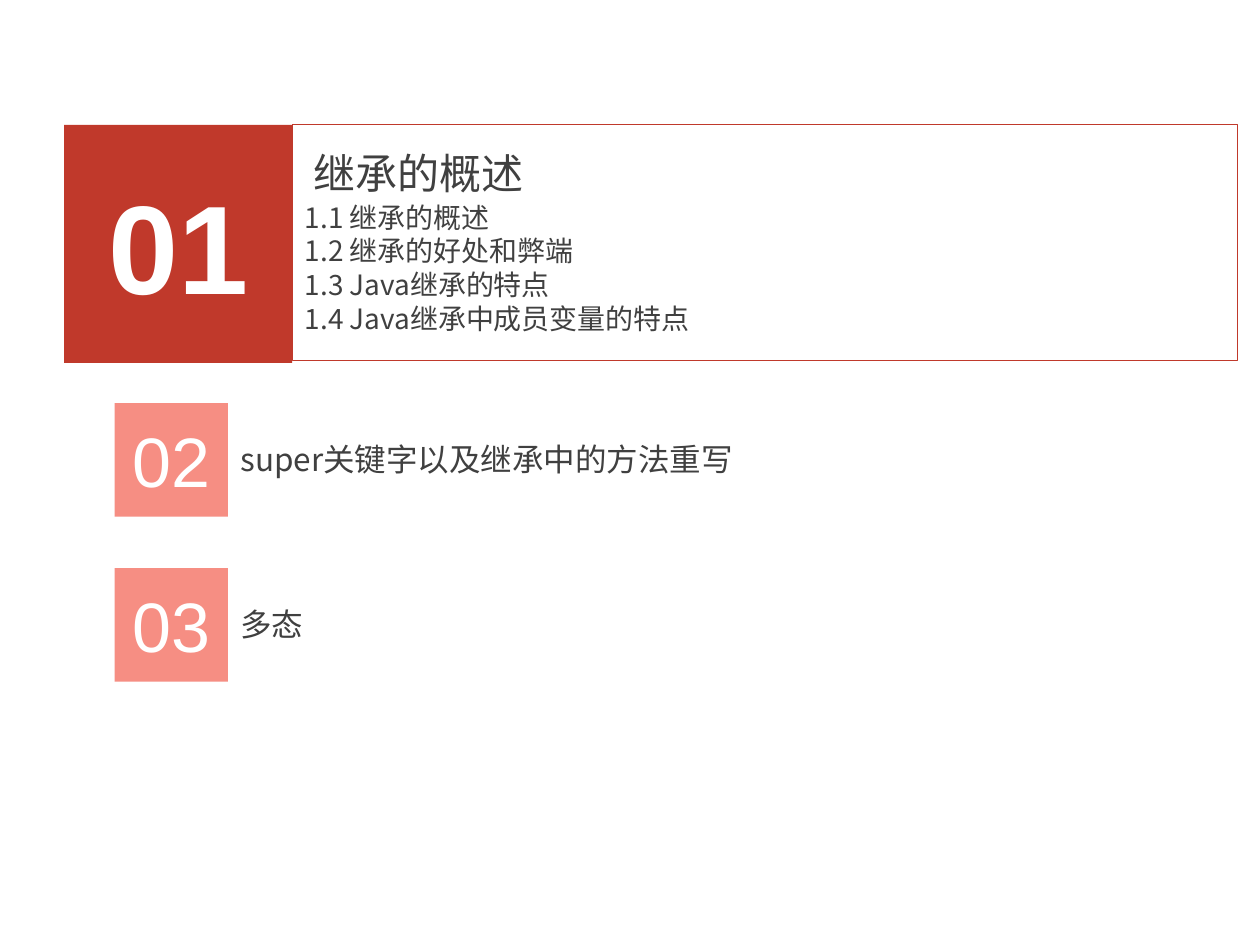
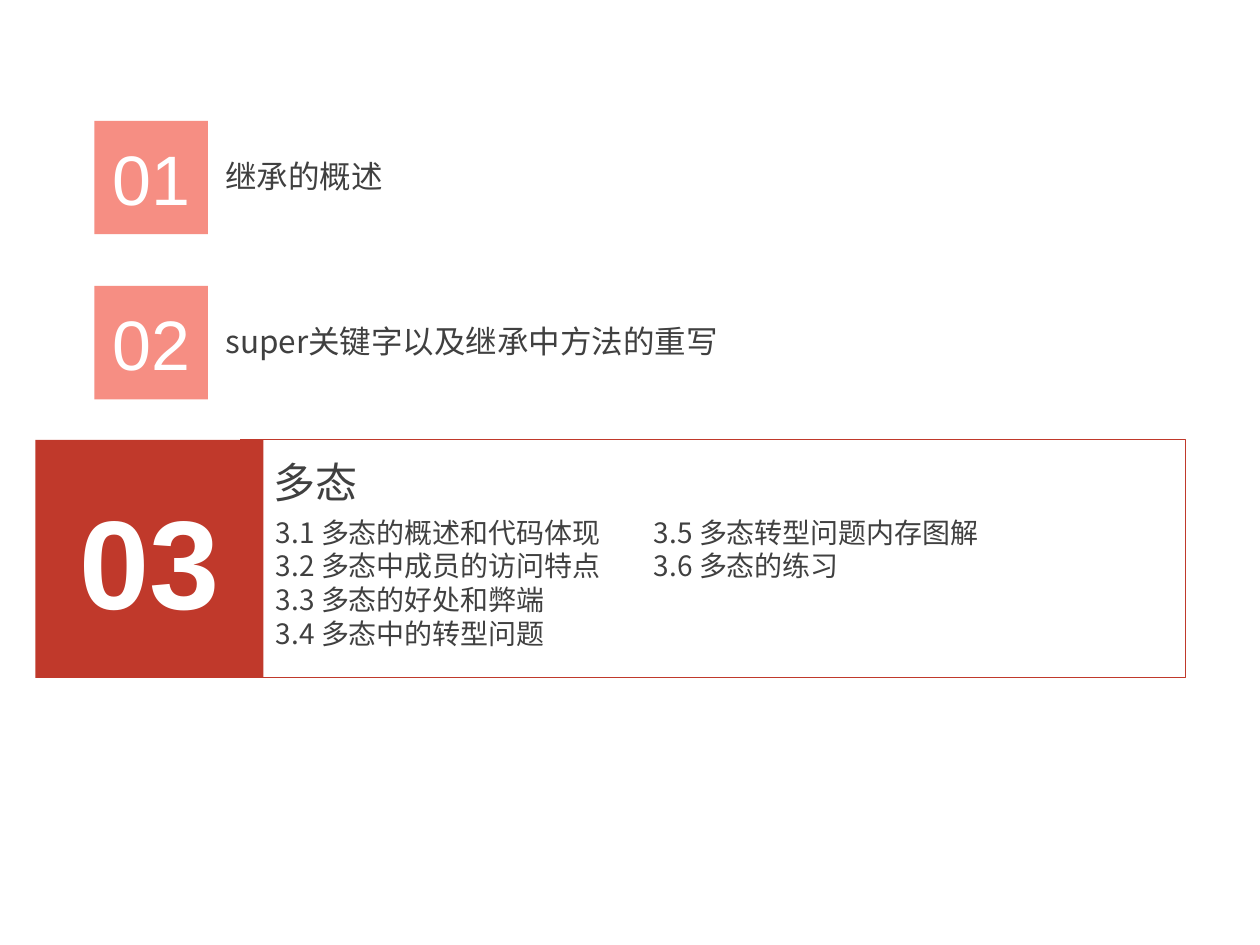
from dataclasses import dataclass

from lxml.etree import SubElement
from pptx import Presentation
from pptx.dml.color import RGBColor
from pptx.enum.shapes import MSO_SHAPE as Shape
from pptx.enum.text import MSO_ANCHOR as Anchor, MSO_AUTO_SIZE as AutoSize, PP_ALIGN as Align
from pptx.oxml.ns import qn
from pptx.util import Inches, Pt

RED = RGBColor(0xC0, 0x39, 0x2B)
CORAL = RGBColor(0xF4, 0x72, 0x64)
WHITE = RGBColor(0xFF, 0xFF, 0xFF)
GREY = RGBColor(0x40, 0x40, 0x40)
NUMBER_FONT = "Arial"
TEXT_FONT = "Noto Sans CJK SC"

COLUMNS, ROWS = 100, 75
CELL = Inches(0.1)
PANEL_BADGE = (18.1, 18.9)
ITEM_BADGE = (9, 9)
ITEM_PITCH = 13.1
TAB_COLUMN = 33.2


@dataclass
class Panel:
    """The open chapter, with its parts placed relative to its left and top."""

    left: float
    top: float
    number: str
    heading: str
    heading_box: tuple
    frame_box: tuple
    sections: list


@dataclass
class Items:
    """The closed chapters, stacked from a left and top."""

    left: float
    top: float
    gap: float
    entries: list


def cells(*counts):
    """Turn counts of grid cells into lengths."""
    return [round(count * CELL) for count in counts]


def place(shape, left, top, width, height):
    """Move a shape to a box on the grid."""
    shape.left, shape.top, shape.width, shape.height = cells(left, top, width, height)


def style(para, name, size, color, bold=False):
    """Set the font of a paragraph for Latin and Chinese text."""
    para.font.name = name
    para.font.size = Pt(size)
    para.font.bold = bold
    para.font.color.rgb = color
    defaults = para._p.pPr.find(qn("a:defRPr"))
    SubElement(defaults, qn("a:ea"), typeface=name)


def add_badge(page, box, number, size, color, bold=False, alpha=None):
    """Add a filled square that carries a chapter number."""
    badge = page.shapes.add_shape(Shape.RECTANGLE, *cells(*box))
    badge.shadow.inherit = False
    badge.line.fill.background()
    badge.fill.solid()
    badge.fill.fore_color.rgb = color
    if alpha:
        fill_color = badge.fill._xPr.find(qn("a:solidFill"))[0]
        SubElement(fill_color, qn("a:alpha"), val=str(alpha * 1000))
    badge.text_frame.vertical_anchor = Anchor.MIDDLE
    para = badge.text_frame.paragraphs[0]
    para.text = number
    para.alignment = Align.CENTER
    style(para, NUMBER_FONT, size, WHITE, bold)


def fill_text(shape, lines, size, wrap=False, tabbed=False):
    """Write plain left-aligned lines into a text shape."""
    frame = shape.text_frame
    frame.word_wrap = wrap
    frame.auto_size = AutoSize.SHAPE_TO_FIT_TEXT
    frame.vertical_anchor = Anchor.TOP
    frame.text = "\n".join(lines)
    for para in frame.paragraphs:
        para.alignment = Align.LEFT
        para.space_before = Pt(0)
        properties = para._p.get_or_add_pPr()
        properties.set("marL", "0")
        properties.set("indent", "0")
        SubElement(properties, qn("a:buNone"))
        if tabbed:
            tabs = SubElement(properties, qn("a:tabLst"))
            SubElement(tabs, qn("a:tab"), pos=str(cells(TAB_COLUMN)[0]), algn="l")
        style(para, TEXT_FONT, size, GREY)


def add_panel(page, panel):
    """Add the open chapter: badge, heading, sections and frame."""
    left, top = panel.left, panel.top
    badge_width, badge_height = PANEL_BADGE
    add_badge(page, (left, top, badge_width, badge_height), panel.number, 72, RED, bold=True)

    heading_left, heading_top, *heading_size = panel.heading_box
    heading = page.shapes.title
    place(heading, left + heading_left, top + heading_top, *heading_size)
    fill_text(heading, [panel.heading], 24)

    sections = page.placeholders[1]
    place(sections, left + badge_width, top + 5.5, 75, 11.8)
    fill_text(sections, panel.sections, 16, wrap=True, tabbed=True)

    frame_left, *frame_size = panel.frame_box
    frame = page.shapes.add_shape(Shape.RECTANGLE, *cells(left + frame_left, top, *frame_size))
    frame.shadow.inherit = False
    frame.fill.background()
    frame.line.color.rgb = RED
    frame.line.width = Pt(0.5)


def add_items(page, items):
    """Add the closed chapters at an equal pitch."""
    width, height = ITEM_BADGE
    for row, (number, title, label_width) in enumerate(items.entries):
        top = items.top + row * ITEM_PITCH
        add_badge(page, (items.left, top, width, height), number, 40, CORAL, alpha=80)
        label_left = items.left + width + items.gap
        label = page.shapes.add_textbox(*cells(label_left, top + 2.4, label_width, 4))
        fill_text(label, [title], 18)


def add_agenda(deck, panel, items):
    """Add one agenda page."""
    page = deck.slides.add_slide(deck.slide_layouts[1])
    add_panel(page, panel)
    add_items(page, items)


def main():
    """Build and save the deck."""
    deck = Presentation()
    deck.slide_width, deck.slide_height = cells(COLUMNS, ROWS)
    add_agenda(
        deck,
        Panel(5.1, 9.9, "01", "继承的概述", (18.8, 1.3, 19.6, 5), (18.1, 75, 18.7), [
            "1.1 继承的概述",
            "1.2 继承的好处和弊端",
            "1.3 Java继承的特点",
            "1.4 Java继承中成员变量的特点",
        ]),
        Items(9.1, 32, 0, [
            ("02", "super关键字以及继承中的方法重写", 41.9),
            ("03", "多态", 7),
        ]),
    )
    add_agenda(
        deck,
        Panel(2.8, 34.9, "03", "多态", (17.9, 0.8, 8.8, 5), (16.3, 75, 18.9), [
            "3.1 多态的概述和代码体现\t3.5 多态转型问题内存图解",
            "3.2 多态中成员的访问特点\t3.6 多态的练习",
            "3.3 多态的好处和弊端",
            "3.4 多态中的转型问题",
        ]),
        Items(7.5, 9.6, 0.4, [
            ("01", "继承的概述", 14.5),
            ("02", "super关键字以及继承中方法的重写", 41.9),
        ]),
    )
    deck.save("out.pptx")


if __name__ == "__main__":
    main()
